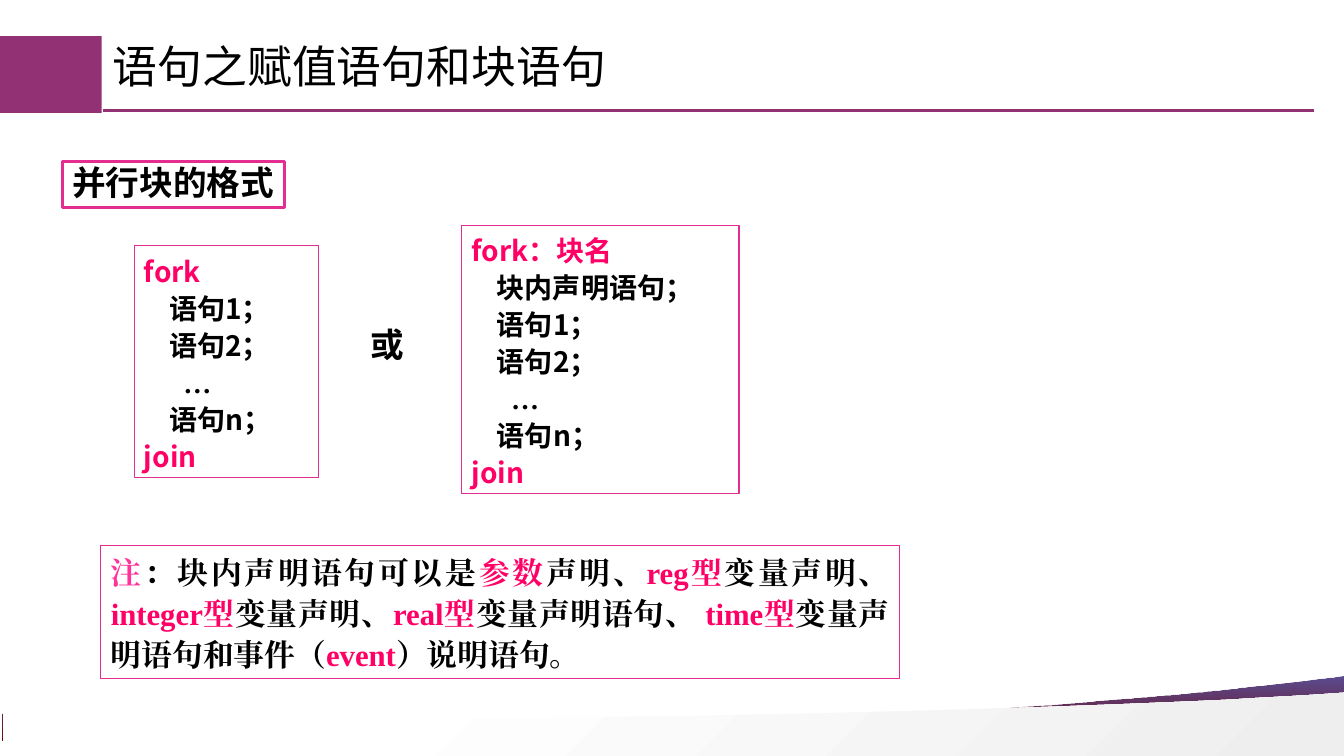
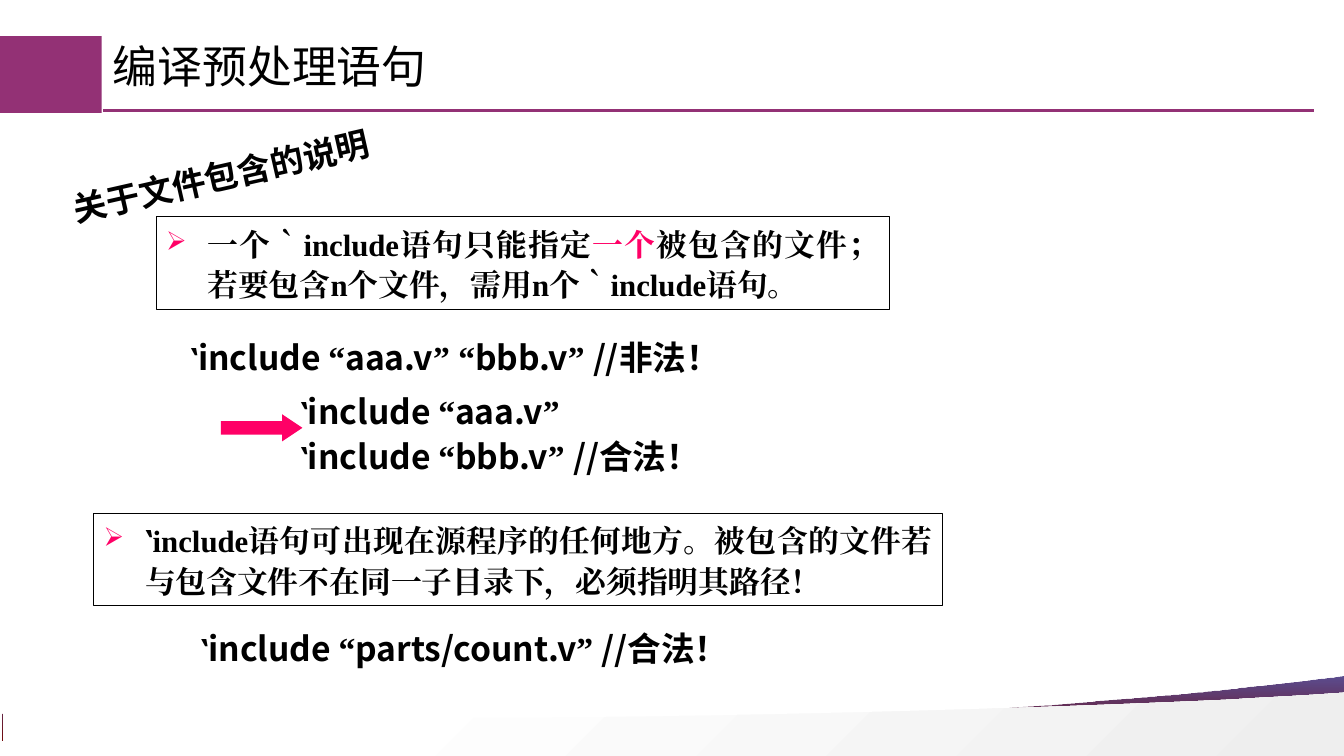
"""Build two Verilog lecture slides on parallel blocks and file inclusion."""
from dataclasses import dataclass
from typing import Any, NamedTuple, Optional

from lxml import etree
from pptx import Presentation
from pptx import util as u
from pptx.dml.color import RGBColor
from pptx.enum import shapes, text
from pptx.oxml import ns
from pptx.shapes.autoshape import Shape
from pptx.slide import Slide

SCALE = 9144
WIDTH, HEIGHT = 1333, 750
CURVE_STEPS = 24
COLORS = {
    "ink": "000000",
    "plum": "933175",
    "pink": "E32D91",
    "hot": "FF0066",
    "note": "FF3399",
    "maroon": "720808",
    "indigo": "342275",
    "white": "FFFFFF",
    "mist": "EEEEEE",
}
SANS, SERIF, LATO, TITLE_FONT = "Noto Sans CJK SC", "Times New Roman", "Lato", "Arial"
RECTANGLE = shapes.MSO_SHAPE.RECTANGLE
STAR = shapes.MSO_SHAPE.STAR_32_POINT
TOP, MIDDLE, BOTTOM = text.MSO_ANCHOR.TOP, text.MSO_ANCHOR.MIDDLE, text.MSO_ANCHOR.BOTTOM
LEFT, CENTER, JUSTIFY = text.PP_ALIGN.LEFT, text.PP_ALIGN.CENTER, text.PP_ALIGN.JUSTIFY


class Area(NamedTuple):
    left: int
    top: int
    width: int
    height: int


class Run(NamedTuple):
    text: str
    color: str = "ink"
    font: str = SANS
    size: int = 24
    bold: bool = True


class Line(NamedTuple):
    runs: list[Run]
    indent: int = 0
    bullet: bool = False


class Stop(NamedTuple):
    position: float
    color: str
    opacity: int = 100


@dataclass(frozen=True)
class Box:
    area: Area
    lines: list[Line]
    border: Optional[str] = None
    border_width: float = 0.75
    preset: Optional[shapes.MSO_SHAPE] = None
    anchor: text.MSO_ANCHOR = TOP
    align: text.PP_ALIGN = JUSTIFY
    spacing: float = 1.1
    wrap: bool = True
    rotation: float = 0


@dataclass(frozen=True)
class Wave:
    start: tuple[int, int]
    segments: list[tuple[tuple[int, int], ...]]
    stops: list[Stop]
    angle: int


WAVES = [
    Wave(
        (1336, 670),
        [
            ((1336, 735),), ((3, 735),), ((3, 708),), ((4, 708),),
            ((304, 741), (823, 718), (1122, 693)),
            ((1182, 688), (1250, 681), (1322, 672)),
        ],
        [Stop(0, "maroon"), Stop(1, "indigo", 80)],
        90,
    ),
    Wave(
        (1336, 687),
        [
            ((1336, 750),), ((3, 750),), ((3, 703),), ((47, 705),),
            ((394, 721), (913, 708), (1222, 694)),
            ((1249, 692), (1277, 691), (1307, 689)),
        ],
        [Stop(0.26, "white"), Stop(1, "mist")],
        315,
    ),
]


def px(value: float) -> int:
    return round(value * SCALE)


def rgb(name: str) -> RGBColor:
    return RGBColor.from_string(COLORS[name])


def assign(target: Any, values: dict[str, Any]) -> None:
    for name, value in values.items():
        setattr(target, name, value)


def add_element(parent: Any, tag: str, **attributes: str) -> Any:
    return etree.SubElement(parent, ns.qn(tag), attributes)


def paint(shape: Shape, fill: Optional[str] = None, line: Optional[str] = None, width: float = 0.75) -> None:
    shape.shadow.inherit = False
    if fill:
        shape.fill.solid()
        shape.fill.fore_color.rgb = rgb(fill)
    else:
        shape.fill.background()
    if line:
        shape.line.color.rgb = rgb(line)
        shape.line.width = u.Pt(width)
    else:
        shape.line.fill.background()


def add_preset(slide: Slide, preset: shapes.MSO_SHAPE, area: Area) -> Shape:
    return slide.shapes.add_shape(preset, *map(px, area))


def wave_points(wave: Wave) -> list[tuple[int, int]]:
    points = []
    current = wave.start
    for segment in wave.segments:
        if len(segment) == 1:
            points.append(segment[0])
        else:
            controls = (current, *segment)
            for step in range(1, CURVE_STEPS + 1):
                t = step / CURVE_STEPS
                weights = ((1 - t) ** 3, 3 * t * (1 - t) ** 2, 3 * t * t * (1 - t), t ** 3)
                points.append(tuple(sum(w * c[axis] for w, c in zip(weights, controls)) for axis in (0, 1)))
        current = segment[-1]
    return [(px(x), px(y)) for x, y in points]


def draw_wave(slide: Slide, wave: Wave) -> None:
    builder = slide.shapes.build_freeform(*map(px, wave.start))
    builder.add_line_segments(wave_points(wave), close=True)
    shape = builder.convert_to_shape()
    paint(shape)
    shape.fill.gradient()
    shape.fill.gradient_angle = wave.angle
    for target, stop in zip(shape.fill.gradient_stops, wave.stops):
        target.position = stop.position
        target.color.rgb = rgb(stop.color)
    for color, stop in zip(shape.element.spPr.iter(ns.qn("a:srgbClr")), wave.stops):
        if stop.opacity < 100:
            add_element(color, "a:alpha", val=str(stop.opacity * 1000))


def write_run(paragraph: Any, run: Run) -> None:
    piece = paragraph.add_run()
    piece.text = run.text
    assign(piece.font, {"name": run.font, "size": u.Pt(run.size), "bold": run.bold})
    piece.font.color.rgb = rgb(run.color)
    add_element(piece.font._element, "a:ea", typeface=run.font)


def write_line(paragraph: Any, line: Line, box: Box) -> None:
    assign(paragraph, {"alignment": box.align, "line_spacing": box.spacing})
    properties = paragraph._p.get_or_add_pPr()
    if line.indent:
        properties.set("marL", str(px(line.indent)))
    if line.bullet:
        properties.set("indent", str(-px(line.indent)))
        add_element(add_element(properties, "a:buClr"), "a:srgbClr", val=COLORS["hot"])
        add_element(properties, "a:buSzPct", val="85000")
        add_element(properties, "a:buChar", char="➢")
    for run in line.runs:
        write_run(paragraph, run)


def draw_box(slide: Slide, box: Box) -> None:
    if box.preset:
        shape = add_preset(slide, box.preset, box.area)
        paint(shape, line=box.border, width=box.border_width)
    else:
        shape = slide.shapes.add_textbox(*map(px, box.area))
    shape.rotation = box.rotation
    frame = shape.text_frame
    assign(frame, {"word_wrap": box.wrap, "vertical_anchor": box.anchor})
    for index, line in enumerate(box.lines):
        write_line(frame.add_paragraph() if index else frame.paragraphs[0], line, box)


def draw_frame(slide: Slide, title: str) -> None:
    for wave in WAVES:
        draw_wave(slide, wave)
    rule = slide.shapes.add_connector(shapes.MSO_CONNECTOR.STRAIGHT, *map(px, (102, 110, 1303, 110)))
    rule.line.color.rgb = rgb("plum")
    rule.line.width = u.Pt(2.25)
    add_element(rule._element.spPr, "a:effectLst")
    paint(add_preset(slide, RECTANGLE, Area(-2, 36, 103, 76)), fill="plum")
    heading = Run(title, font=TITLE_FONT, size=32, bold=False)
    draw_box(slide, Box(Area(102, 40, 1140, 83), [Line([heading])], align=LEFT, spacing=0.9))


def block_lines(opening: str, *declarations: str) -> list[Line]:
    statements = [*declarations, "语句1；", "语句2；", "…", "语句n；"]
    body = [
        Line([Run(words, font=SERIF, size=20)], 39) if words == "…" else Line([Run(words, size=20)], 25)
        for words in statements
    ]
    first, last = (Line([Run(words, "hot", size=20)]) for words in (opening, "join"))
    return [first, *body, last]


def include_line(files: list[str], remark: str = "") -> Line:
    runs = [Run("‵", font=SERIF, size=22), Run("include "), Run("“", font=SERIF)]
    for index, name in enumerate(files, 1):
        closing = "” “" if index < len(files) else "” "
        runs += [Run(name), Run(closing, font=SERIF)]
    return Line(runs + [Run(remark)] if remark else runs)


def serif_runs(*pieces: tuple[str, str]) -> list[Run]:
    return [Run(words, color, SERIF, 22) for color, words in pieces]


def draw_parallel_blocks(slide: Slide) -> None:
    draw_frame(slide, "语句之赋值语句和块语句")
    note = serif_runs(
        ("note", "注"), ("ink", "：块内声明语句可以是"), ("hot", "参数"), ("ink", "声明、"),
        ("hot", "reg型"), ("ink", "变量声明、"), ("hot", "integer型"), ("ink", "变量声明、"),
        ("hot", "real型"), ("ink", "变量声明语句、 "), ("hot", "time型"),
        ("ink", "变量声明语句和事件（"), ("hot", "event"), ("ink", "）说明语句。"),
    )
    boxes = [
        Box(Area(133, 244, 183, 230), block_lines("fork"), "pink", preset=RECTANGLE, anchor=BOTTOM),
        Box(Area(458, 224, 275, 266), block_lines("fork：块名", "块内声明语句；"), "pink",
            preset=RECTANGLE, anchor=BOTTOM),
        Box(Area(358, 316, 67, 50), [Line([Run("或", font=LATO)])], anchor=BOTTOM, align=LEFT, spacing=1.0),
        Box(Area(100, 541, 792, 132), [Line(note)], "pink", preset=RECTANGLE),
        Box(Area(62, 160, 220, 46), [Line([Run("并行块的格式")])], "pink", 2, RECTANGLE,
            align=LEFT, spacing=0.9, wrap=False),
    ]
    for box in boxes:
        draw_box(slide, box)


def draw_file_inclusion(slide: Slide) -> None:
    draw_frame(slide, "编译预处理语句")
    single_file = serif_runs(
        ("ink", "一个‵include语句只能指定"), ("hot", "一个"),
        ("ink", "被包含的文件；若要包含n个文件，需用n个‵include语句。"),
    )
    any_place = serif_runs(
        ("ink", "‵include语句可出现在源程序的任何地方。被包含的文件若与包含文件不在同一子目录下，必须指明其路径！"),
    )
    legal_pair = [include_line(["aaa.v"]), include_line(["bbb.v"], "//合法！")]
    boxes = [
        Box(Area(155, 215, 727, 92), [Line(single_file, 41, True)], "ink", preset=RECTANGLE),
        Box(Area(93, 509, 842, 92), [Line(any_place, 41, True)], "ink", preset=RECTANGLE),
        Box(Area(179, 325, 745, 54), [include_line(["aaa.v", "bbb.v"], "//非法！")], anchor=BOTTOM),
        Box(Area(189, 614, 609, 54), [include_line(["parts/count.v"], "//合法！")], anchor=BOTTOM),
        Box(Area(288, 378, 553, 99), legal_pair, anchor=BOTTOM),
        Box(Area(30, 137, 379, 75), [Line([Run("关于文件包含的说明")])], preset=STAR,
            anchor=MIDDLE, align=CENTER, spacing=1.0, wrap=False, rotation=347.2),
    ]
    for box in boxes:
        draw_box(slide, box)
    arrow = add_preset(slide, shapes.MSO_SHAPE.RIGHT_ARROW, Area(219, 411, 81, 27))
    arrow.adjustments[1] = 0.75
    paint(arrow, fill="hot")


def main() -> None:
    presentation = Presentation()
    assign(presentation, {"slide_width": px(WIDTH), "slide_height": px(HEIGHT)})
    for draw in (draw_parallel_blocks, draw_file_inclusion):
        draw(presentation.slides.add_slide(presentation.slide_layouts[6]))
    presentation.save("out.pptx")


if __name__ == "__main__":
    main()
